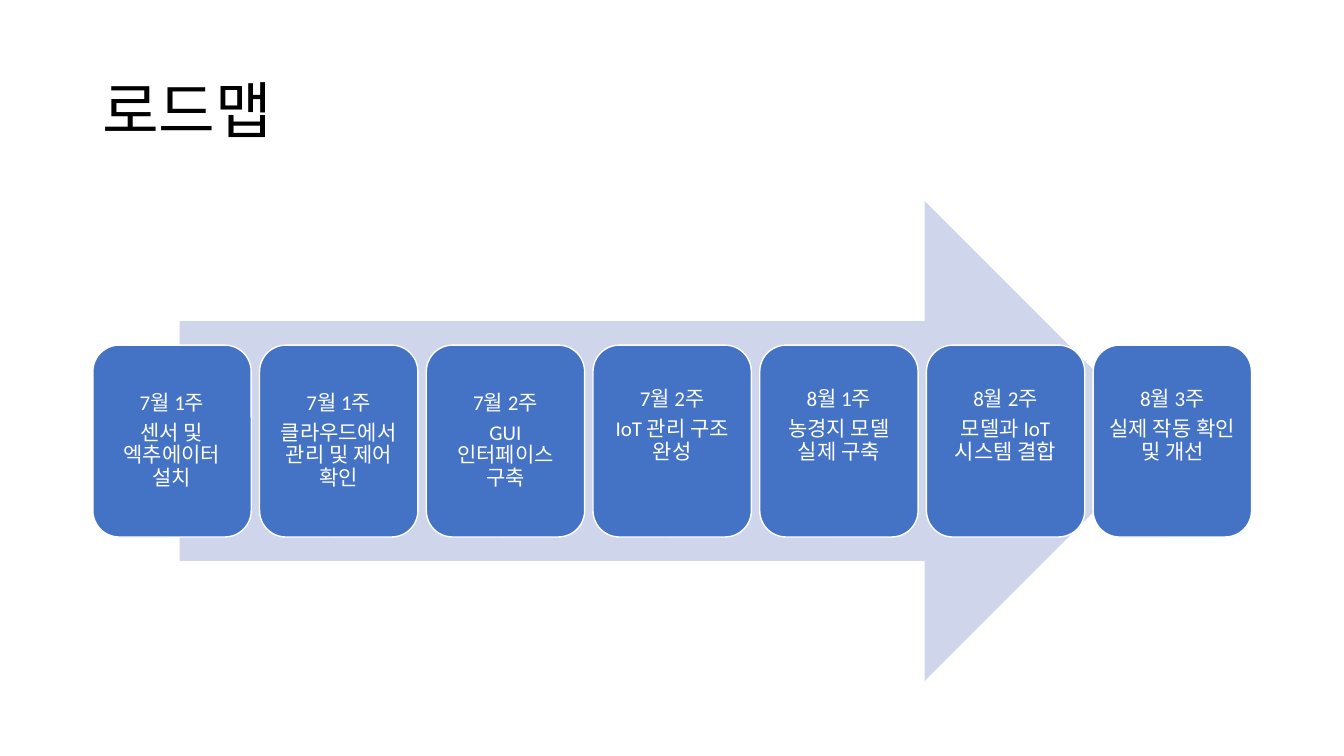
from pptx import Presentation
from pptx.dml.color import RGBColor
from pptx.enum.shapes import MSO_SHAPE
from pptx.enum.text import MSO_ANCHOR, PP_ALIGN
from pptx.util import Cm, Pt

BLACK = RGBColor(0x00, 0x00, 0x00)
WHITE = RGBColor(0xFF, 0xFF, 0xFF)
BLUE = RGBColor(0x44, 0x72, 0xC4)
PALE_BLUE = RGBColor(0xCF, 0xD5, 0xEA)
FONT = "Calibri"

STEPS = [
    ("7월 1주", "센서 및 엑추에이터 설치", False),
    ("7월 1주", "클라우드에서 관리 및 제어 확인", False),
    ("7월 2주", "GUI 인터페이스 구축", False),
    ("7월 2주", "IoT 관리 구조 완성", True),
    ("8월 1주", "농경지 모델 실제 구축", True),
    ("8월 2주", "모델과 IoT 시스템 결합", True),
    ("8월 3주", "실제 작동 확인 및 개선", True),
]


def style_paragraph(paragraph, size, color):
    """Set the font and line spacing of a paragraph."""
    paragraph.line_spacing = 0.9
    paragraph.font.name = FONT
    paragraph.font.size = Pt(size)
    paragraph.font.color.rgb = color


def add_heading(slide, text, left, top, width, height):
    """Place the slide heading in the given box."""
    heading = slide.shapes.add_textbox(left, top, width, height).text_frame
    heading.word_wrap = True
    heading.vertical_anchor = MSO_ANCHOR.MIDDLE
    heading.text = text
    style_paragraph(heading.paragraphs[0], 44, BLACK)


def add_step(slide, week, task, raised, left, top, width, height):
    """Draw one roadmap card, lifting its text when raised."""
    card = slide.shapes.add_shape(MSO_SHAPE.ROUNDED_RECTANGLE, left, top, width, height)
    card.shadow.inherit = False
    card.fill.solid()
    card.fill.fore_color.rgb = BLUE
    card.line.color.rgb = WHITE
    card.line.width = Pt(1)
    label = card.text_frame
    label.word_wrap = True
    label.vertical_anchor = MSO_ANCHOR.MIDDLE
    label.margin_left = label.margin_right = label.margin_top = Cm(0.15)
    label.margin_bottom = Cm(0.9 if raised else 0.15)
    label.text = f"{week}\n{task}"
    for paragraph in label.paragraphs:
        style_paragraph(paragraph, 15, WHITE)
        paragraph.alignment = PP_ALIGN.CENTER
        paragraph.space_after = Pt(5.25)


def add_roadmap(slide, steps, left, top, width, height):
    """Draw the arrow and an even row of step cards over it."""
    arrow = slide.shapes.add_shape(
        MSO_SHAPE.RIGHT_ARROW, left + int(width * 0.075), top, int(width * 0.85), height
    )
    arrow.shadow.inherit = False
    arrow.fill.solid()
    arrow.fill.fore_color.rgb = PALE_BLUE
    arrow.line.fill.background()

    gap = Cm(0.21)
    card_width = (width - gap * (len(steps) - 1)) // len(steps)
    card_height = int(height * 0.4)
    card_top = top + (height - card_height) // 2
    for index, (week, task, raised) in enumerate(steps):
        card_left = left + index * (card_width + gap)
        add_step(slide, week, task, raised, card_left, card_top, card_width, card_height)


presentation = Presentation()
presentation.slide_width = Cm(33.87)
presentation.slide_height = Cm(19.05)
roadmap_slide = presentation.slides.add_slide(presentation.slide_layouts[6])
add_heading(roadmap_slide, "로드맵", Cm(2.33), Cm(1.01), Cm(29.21), Cm(3.68))
add_roadmap(roadmap_slide, STEPS, Cm(2.34), Cm(5.07), Cm(29.2), Cm(12.09))
presentation.save("out.pptx")
